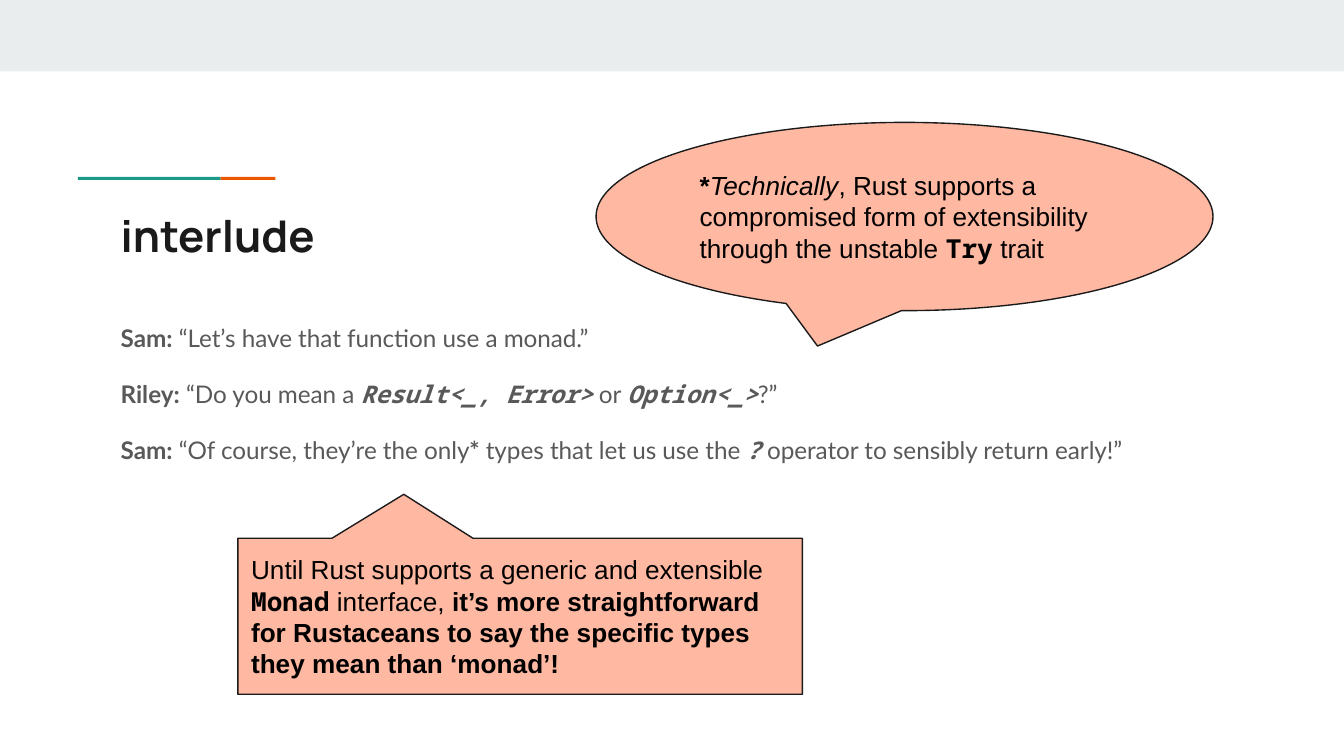
from pptx import Presentation, util as u
from pptx.dml.color import RGBColor
from pptx.enum import shapes as s, text as t

HUE = {"band": "E9EDEE", "teal": "1A9988", "rust": "EB5600", "ink": "1A1A1A",
       "gray": "595959", "peach": "FFB8A2", "black": "000000"}
MONO = "Noto Sans Mono"

deck = Presentation()
deck.slide_width = u.Inches(10)
deck.slide_height = deck.slide_width * 9 // 16
page = deck.slides.add_slide(deck.slide_layouts[6])


def draw(kind, area, fill=None):
    x, y, w, h = area
    wide, high = deck.slide_width / 100, deck.slide_height / 100
    spot = [int(n) for n in (x * wide, y * high, w * wide, h * high)]
    if kind is None:
        return page.shapes.add_textbox(*spot)
    shape = page.shapes.add_shape(kind, *spot)
    shape.shadow.inherit = False
    shape.fill.solid()
    shape.fill.fore_color.rgb = RGBColor.from_string(HUE[fill])
    shape.line.fill.background()
    return shape


def write(shape, paras, face, size, hue, anchor=t.MSO_ANCHOR.TOP):
    frame = shape.text_frame
    frame.word_wrap = True
    frame.vertical_anchor = anchor
    frame.margin_left = frame.margin_right = u.Inches(0.1)
    frame.margin_top = frame.margin_bottom = u.Inches(0.1)
    for row, parts in enumerate(paras):
        para = frame.add_paragraph() if row else frame.paragraphs[0]
        para.alignment = t.PP_ALIGN.LEFT
        for word, style in parts:
            run = para.add_run()
            run.text = word
            font = run.font
            font.name = MONO if "m" in style else face
            font.size = u.Pt(size)
            font.bold = "b" in style
            font.italic = "i" in style
            font.color.rgb = RGBColor.from_string(HUE[hue])


RECT = s.MSO_SHAPE.RECTANGLE
for area, fill in [((0, 0, 100, 9.45), "band"),
                   ((16.4, 23.4, 4.1, 0.4), "rust"),
                   ((5.8, 23.4, 10.6, 0.4), "teal")]:
    draw(RECT, area, fill)

title = draw(None, (8, 25.8, 84.1, 10.5))
write(title, [[("interlude", "b")]], "Manrope", 23.4, "ink")

talk = [
    [("Sam:", "b"), (" “Let’s have that function use a monad.”", "")],
    [("Riley:", "b"), (" “Do you mean a ", ""), ("Result<_, Error>", "bim"),
     (" or ", ""), ("Option<_>", "bim"), ("?”", "")],
    [("Sam:", "b"), (" “Of course, they’re the only", ""), ("*", "b"),
     (" types that let us use the ", ""), ("?", "bim"),
     (" operator to sensibly return early!”", "")],
]
body = draw(None, (8, 40.4, 84.1, 43.95))
write(body, talk, "Lato", 13, "gray")
lines = body.text_frame.paragraphs
for para in lines:
    para.line_spacing = 1.15
for para in lines[1:]:
    para.space_before = u.Pt(12)
lines[-1].space_after = u.Pt(12)

notes = [
    (s.MSO_SHAPE.ROUNDED_RECTANGULAR_CALLOUT, (17.7, 71.2, 42, 20.64),
     (-0.206, -0.782, 0),
     [("Until Rust supports a generic and extensible ", ""), ("Monad", "bm"),
      (" interface, ", ""),
      ("it’s more straightforward for Rustaceans to say the specific types "
       "they mean than ‘monad’!", "b")]),
    (s.MSO_SHAPE.OVAL_CALLOUT, (44.35, 16.2, 45.9, 24.9), (-0.141, 0.688),
     [("*", "b"), ("Technically", "i"),
      (", Rust supports a compromised form of extensibility through the "
       "unstable ", ""), ("Try", "bm"), (" trait", "")]),
]
for kind, area, bends, parts in notes:
    note = draw(kind, area, "peach")
    for slot, bend in enumerate(bends):
        note.adjustments[slot] = bend
    note.line.color.rgb = RGBColor.from_string(HUE["ink"])
    note.line.width = u.Pt(0.75)
    write(note, [parts], "Arial", 14, "black", t.MSO_ANCHOR.MIDDLE)

deck.save("out.pptx")
